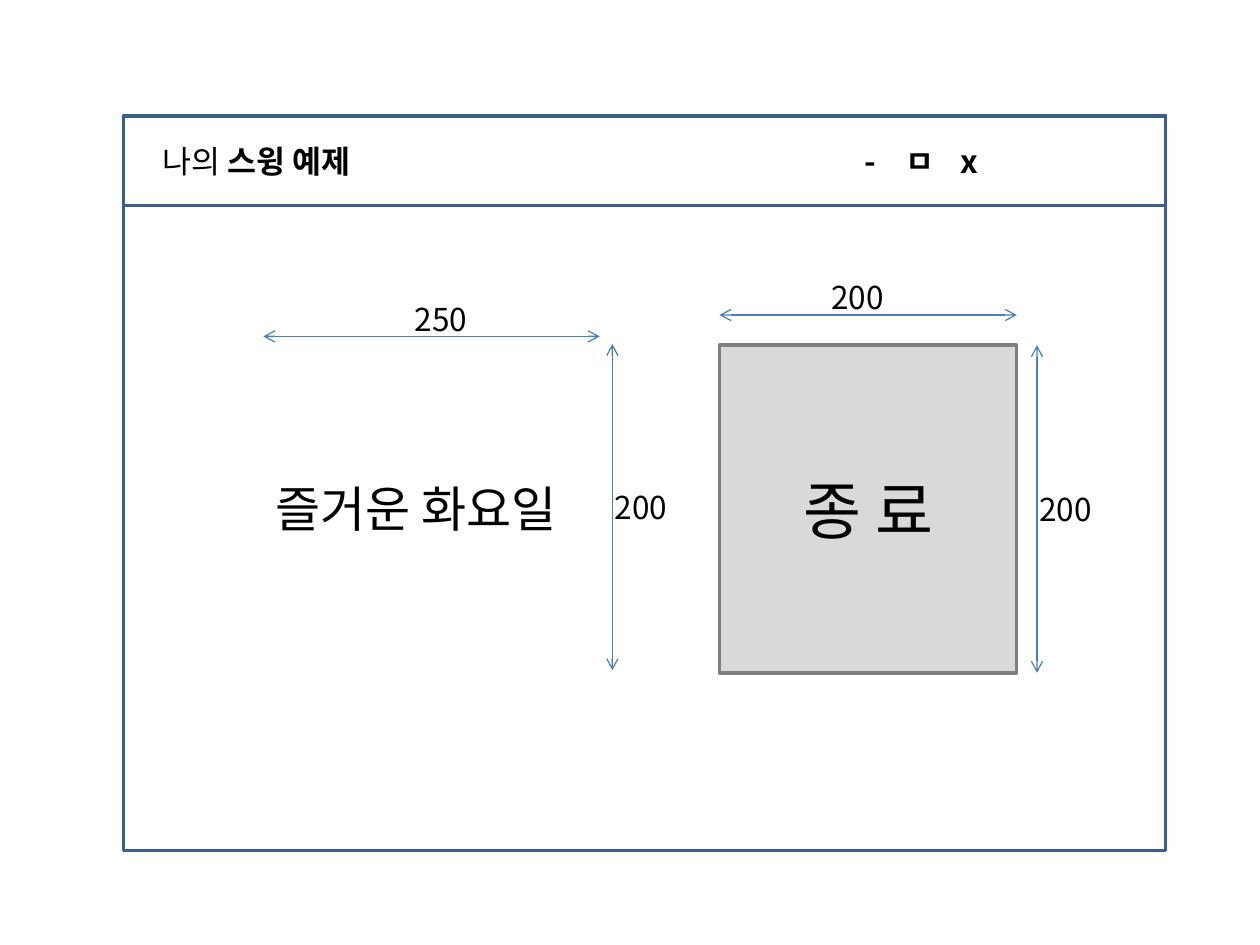
from lxml.etree import SubElement
from pptx import Presentation
from pptx.dml.color import RGBColor
from pptx.enum.shapes import MSO_CONNECTOR, MSO_SHAPE
from pptx.enum.text import MSO_ANCHOR, MSO_AUTO_SIZE, PP_ALIGN
from pptx.oxml.ns import qn
from pptx.util import Inches, Pt

FONT = "Noto Sans CJK KR"
BLACK = RGBColor(0x00, 0x00, 0x00)
FRAME_BLUE = RGBColor(0x3A, 0x5F, 0x8C)
ARROW_BLUE = RGBColor(0x4B, 0x7E, 0xBC)
BUTTON_FILL = RGBColor(0xD9, 0xD9, 0xD9)
BUTTON_LINE = RGBColor(0x80, 0x80, 0x80)

# Boxes are left, top, width, height in inches
WINDOW = (0.98, 0.92, 8.27, 5.83)
TITLE_BAR = (*WINDOW[:3], 0.71)
BUTTON = (5.71, 2.74, 2.36, 2.6)
MESSAGE = (2.09, 3.75, 2.7, 0.57)
LABEL_WIDTH, LABEL_HEIGHT = 0.62, 0.4

TITLE_RUNS = [("나의 ", False), ("스윙 예제\t-\tㅁ\tx", True)]
TITLE_INDENT = 0.31
TITLE_TABS = [5.57, 5.9, 6.33]

button_right = BUTTON[0] + BUTTON[2]
button_bottom = BUTTON[1] + BUTTON[3]
# Label, start, end, shift of the label along a horizontal arrow
DIMENSIONS = [
    ("200", (BUTTON[0], 2.5), (button_right, 2.5), -0.08),
    ("200", (8.23, BUTTON[1]), (8.23, button_bottom), 0),
    ("200", (4.86, 2.73), (4.86, 5.32), 0),
    ("250", (2.09, 2.67), (4.76, 2.67), 0.08),
]


def inches(values):
    return [Inches(value) for value in values]


def add_run(paragraph, text, size, bold=False):
    run = paragraph.add_run()
    run.text = text
    run.font.size = Pt(size)
    run.font.name = FONT
    run.font.color.rgb = BLACK
    if bold:
        run.font.bold = True
    east_asian = SubElement(run.font._element, qn("a:ea"))
    east_asian.set("typeface", FONT)


def add_rectangle(slide, box, line, fill=None):
    shape = slide.shapes.add_shape(MSO_SHAPE.RECTANGLE, *inches(box))
    shape.shadow.inherit = False
    if fill is None:
        shape.fill.background()
    else:
        shape.fill.solid()
        shape.fill.fore_color.rgb = fill
    shape.line.color.rgb = line
    shape.line.width = Pt(2)
    shape.text_frame.vertical_anchor = MSO_ANCHOR.MIDDLE
    return shape


def add_text(slide, box, text, size):
    frame = slide.shapes.add_textbox(*inches(box)).text_frame
    frame.word_wrap = False
    frame.auto_size = MSO_AUTO_SIZE.SHAPE_TO_FIT_TEXT
    add_run(frame.paragraphs[0], text, size)


def add_title_bar(slide):
    frame = add_rectangle(slide, TITLE_BAR, FRAME_BLUE).text_frame
    frame.margin_left = Inches(TITLE_INDENT)
    paragraph = frame.paragraphs[0]
    tabs = SubElement(paragraph._p.get_or_add_pPr(), qn("a:tabLst"))
    for position in TITLE_TABS:
        SubElement(tabs, qn("a:tab"), pos=str(Inches(position)), algn="l")
    paragraph.alignment = PP_ALIGN.LEFT
    for text, bold in TITLE_RUNS:
        add_run(paragraph, text, 18, bold)


def add_dimension(slide, label, start, end, shift):
    """Draw a double-headed arrow and the length beside it."""
    arrow = slide.shapes.add_connector(MSO_CONNECTOR.STRAIGHT, *inches(start + end))
    arrow.line.color.rgb = ARROW_BLUE
    arrow.line.width = Pt(0.75)
    line = arrow.line._get_or_add_ln()
    for tag in ("a:headEnd", "a:tailEnd"):
        SubElement(line, qn(tag), type="arrow")
    SubElement(arrow._element.spPr, qn("a:effectLst"))

    if start[1] == end[1]:
        left = (start[0] + end[0] - LABEL_WIDTH) / 2 + shift
        top = start[1] - 0.34
    else:
        left = start[0] - 0.08
        top = (start[1] + end[1] - LABEL_HEIGHT) / 2
    add_text(slide, (left, top, LABEL_WIDTH, LABEL_HEIGHT), label, 18)


def main():
    presentation = Presentation()
    presentation.slide_width, presentation.slide_height = inches((10, 7.5))
    slide = presentation.slides.add_slide(presentation.slide_layouts[6])

    add_rectangle(slide, WINDOW, FRAME_BLUE)
    add_title_bar(slide)
    button = add_rectangle(slide, BUTTON, BUTTON_LINE, BUTTON_FILL)
    paragraph = button.text_frame.paragraphs[0]
    paragraph.alignment = PP_ALIGN.CENTER
    add_run(paragraph, "종 료", 36)
    add_text(slide, MESSAGE, "즐거운 화요일", 28)
    for dimension in DIMENSIONS:
        add_dimension(slide, *dimension)

    presentation.save("out.pptx")


if __name__ == "__main__":
    main()
